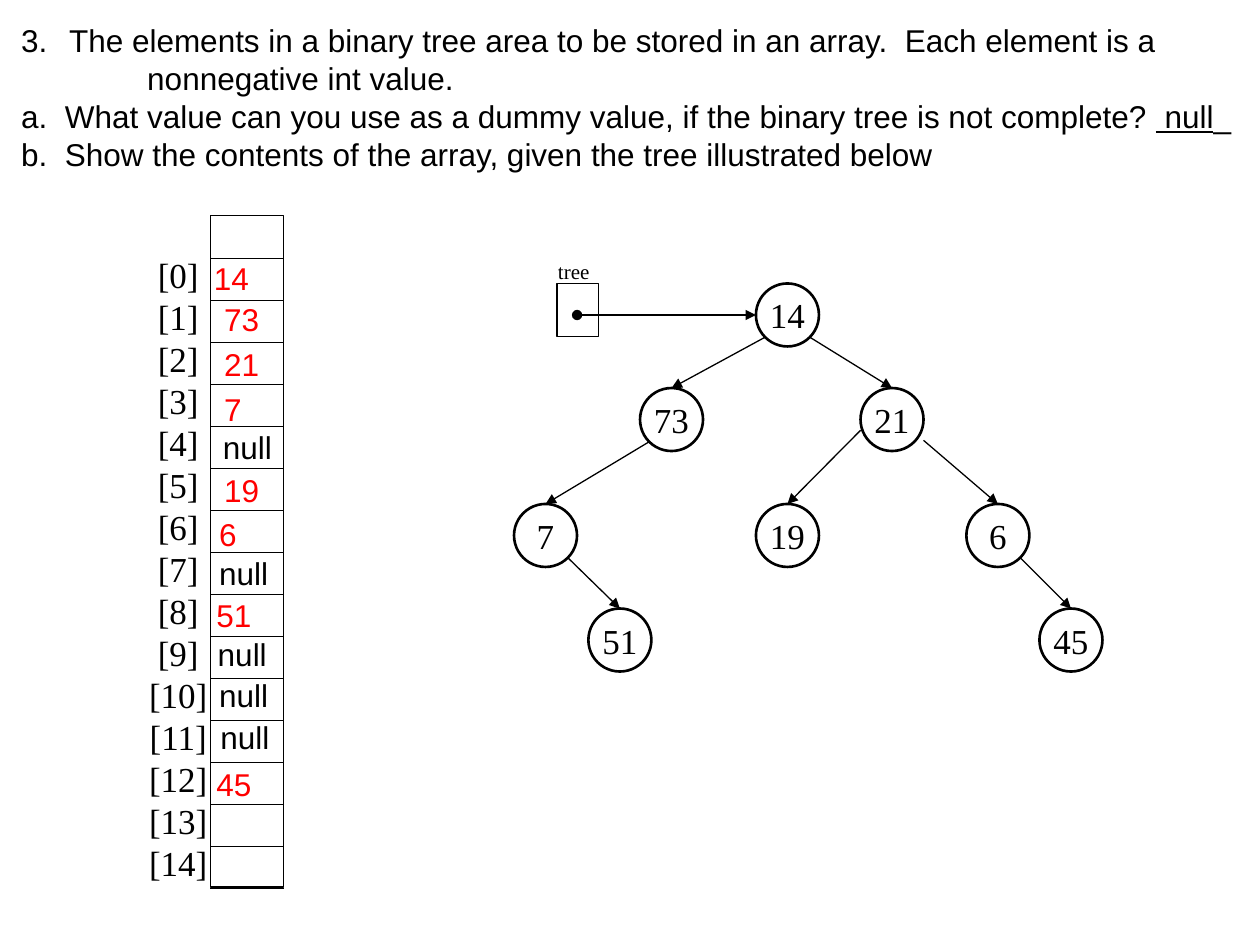
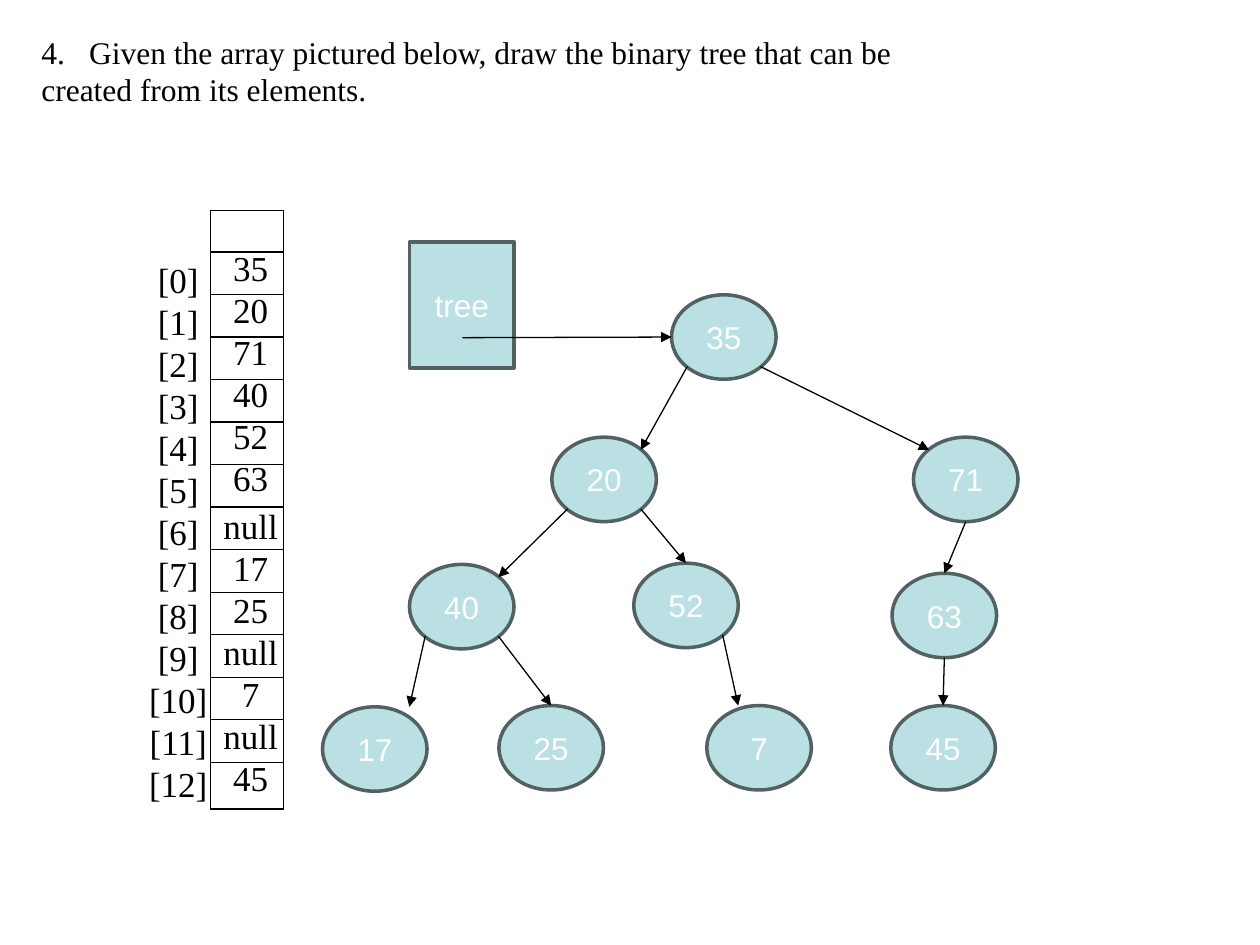
from dataclasses import dataclass

from lxml.etree import SubElement
from pptx import Presentation
from pptx.dml.color import RGBColor
from pptx.enum.shapes import MSO_CONNECTOR as Connector, MSO_SHAPE as Shape
from pptx.enum.text import MSO_ANCHOR as Anchor, MSO_AUTO_SIZE as AutoSize, PP_ALIGN as Align
from pptx.oxml.ns import qn
from pptx.util import Inches, Pt


@dataclass(frozen=True)
class Theme:
    ink: str = "000000"
    answer: str = "FF0000"
    fill: str = "BBE0E3"
    outline: str = "526263"
    light: str = "FFFFFF"
    sans: str = "Arial"
    serif: str = "Times New Roman"
    label_size: int = 12
    body_size: int = 18
    cell_size: int = 20
    thin: float = 0.75


@dataclass(frozen=True)
class Box:
    left: float
    top: float
    width: float
    height: float

    def at(self, across, down):
        """Point at the given fractions of the box."""
        return self.left + across * self.width, self.top + down * self.height

    def inner(self, left, top, width, height):
        return Box(self.left + left, self.top + top, width, height)

    def lengths(self):
        return [Inches(n) for n in (self.left, self.top, self.width, self.height)]


@dataclass(frozen=True)
class Line:
    """One paragraph; runs are pairs of text and underline."""
    runs: tuple
    level: int = 0
    margin: float = 0
    hanging: float = 0
    number: int = 0
    before: float = 0


@dataclass(frozen=True)
class NodeStyle:
    width: float
    height: float
    weight: float
    outline: str
    fill: str
    color: str
    font: str
    size: int
    wrap: bool


THEME = Theme()
PLAIN_NODE = NodeStyle(0.5, 0.5, 1.5, THEME.ink, "", THEME.ink, THEME.serif, THEME.cell_size, False)
FILLED_NODE = NodeStyle(0.83, 0.67, 2, THEME.outline, THEME.fill, THEME.light, THEME.sans,
                        THEME.body_size, True)

# Points on a node, as fractions of its width and height
TOP, BOTTOM, LEFT = (0.5, 0), (0.5, 1), (0, 0.5)
UPPER_LEFT, UPPER_RIGHT = (0.15, 0.15), (0.85, 0.15)
LOWER_LEFT, LOWER_RIGHT = (0.15, 0.85), (0.85, 0.85)


def rgb(code):
    return RGBColor.from_string(code)


def write(frame, lines, font=THEME.serif, size=THEME.body_size, color=THEME.ink,
          align=None, wrap=False):
    frame.word_wrap = wrap
    for index, line in enumerate(lines):
        if isinstance(line, str):
            line = Line(((line, False),))
        para = frame.paragraphs[0] if index == 0 else frame.add_paragraph()
        para.alignment, para.level = align, line.level
        if line.before:
            para.space_before = Pt(line.before)
        if line.hanging:
            props = para._p.get_or_add_pPr()
            props.set("marL", str(Inches(line.margin)))
            props.set("indent", str(-Inches(line.hanging)))
            if line.number:
                SubElement(props, qn("a:buAutoNum"), type="arabicPeriod", startAt=str(line.number))
        for text, underline in line.runs:
            span = para.add_run()
            span.text = text
            span.font.name, span.font.size = font, Pt(size)
            span.font.color.rgb = rgb(color)
            if underline:
                span.font.underline = True


def add_text(shapes, box, lines, **text_format):
    text_box = shapes.add_textbox(*box.lengths())
    write(text_box.text_frame, lines, **text_format)
    text_box.text_frame.auto_size = AutoSize.SHAPE_TO_FIT_TEXT


def add_outline(shapes, kind, box, color=THEME.ink, weight=THEME.thin, fill=""):
    shape = shapes.add_shape(kind, *box.lengths())
    shape.shadow.inherit = False
    shape.line.color.rgb, shape.line.width = rgb(color), Pt(weight)
    if fill:
        shape.fill.solid()
        shape.fill.fore_color.rgb = rgb(fill)
    else:
        shape.fill.background()
    return shape


def add_line(shapes, start, end, head="", tail=""):
    line = shapes.add_connector(Connector.STRAIGHT, *map(Inches, (*start, *end)))
    line.line.color.rgb, line.line.width = rgb(THEME.ink), Pt(THEME.thin)
    for tag, kind in (("a:headEnd", head), ("a:tailEnd", tail)):
        if kind:
            SubElement(line.line._get_or_add_ln(), qn(tag), type=kind)
    SubElement(line._element.spPr, qn("a:effectLst"))
    return line


def add_label(shape, text, style):
    frame = shape.text_frame
    frame.vertical_anchor = Anchor.MIDDLE
    write(frame, [text], font=style.font, size=style.size, color=style.color,
          align=Align.CENTER, wrap=style.wrap)


def add_array(page, box, index_top, count, first_rule, last_rule, rules):
    """Column of cells with its indexes; rule positions are measured from the box top."""
    shapes = page.shapes.add_group_shape().shapes
    add_outline(shapes, Shape.RECTANGLE, box)
    add_text(shapes, box.inner(-0.59, index_top, 0.67, count / 3 + 0.15),
             [f"[{index}]" for index in range(count)], size=THEME.cell_size, align=Align.CENTER)
    step = (last_rule - first_rule) / (rules - 1)
    for index in range(rules):
        y = box.top + first_rule + index * step
        add_line(shapes, (box.left, y), (box.left + box.width, y))


def add_tree(page, area, nodes, edges, style, pointer_start, pointer_head=""):
    """Nodes map labels to offsets in the area; the first one is the root."""
    boxes, ellipses = {}, {}
    for label, (left, top) in nodes.items():
        boxes[label] = area.inner(left, top, style.width, style.height)
        ellipses[label] = add_outline(page.shapes, Shape.OVAL, boxes[label],
                                      style.outline, style.weight, style.fill)
        add_label(ellipses[label], label, style)
    for parent, start, child, end in edges:
        arrow = add_line(page.shapes, boxes[parent].at(*start), boxes[child].at(*end),
                         tail="triangle")
        if end == TOP:
            arrow.end_connect(ellipses[child], 0)
    root = next(iter(boxes.values()))
    start = area.left + pointer_start[0], area.top + pointer_start[1]
    add_line(page.shapes, start, root.at(*LEFT), head=pointer_head, tail="triangle")


def add_answers(page, box):
    """Handwritten-style answers: text with its offset from the array."""
    answers = (
        ("14", -0.07, 0.3), ("73", 0.01, 0.62), ("21", 0.01, 0.98), ("7", 0.01, 1.34),
        ("null", 0, 1.64), ("19", 0.01, 1.98), ("6", -0.03, 2.33), ("null", -0.03, 2.64),
        ("51", -0.05, 2.97), ("null", -0.04, 3.28), ("null", -0.03, 3.61),
        ("null", -0.02, 3.94), ("45", -0.05, 4.31),
    )
    for text, left, top in answers:
        add_text(page.shapes, box.inner(left, top, 0.63, 0.4), [text], font=THEME.sans,
                 color=THEME.ink if text == "null" else THEME.answer, wrap=True)


def build_tree_to_array(page):
    hanging = {"margin": 0.38, "hanging": 0.38}
    add_text(page.shapes, Box(0.07, 0.12, 9.89, 1.31), [
        Line((("The elements in a binary tree area to be stored in an array.  "
               "Each element is a", False),), number=3, **hanging),
        Line((("nonnegative int value.", False),), level=1, margin=1.38, hanging=0.38),
        Line((("a.  What value can you use as a dummy value, if the binary tree "
               "is not complete? ", False), (" null", True), ("_", False)), **hanging),
        Line((("b.  Show the contents of the array, given the tree illustrated below",
               False),), **hanging),
    ], font=THEME.sans)

    area = Box(4.08, 2.25, 4.67, 3.08)
    nodes = {"14": (1.92, 0), "73": (1, 0.83), "21": (2.75, 0.83), "7": (0, 1.75),
             "51": (0.59, 2.58), "19": (1.92, 1.75), "6": (3.59, 1.75), "45": (4.17, 2.58)}
    edges = (
        ("14", LOWER_LEFT, "73", TOP), ("14", LOWER_RIGHT, "21", TOP),
        ("73", LOWER_LEFT, "7", TOP), ("21", (0, 0.67), "19", TOP),
        ("7", LOWER_RIGHT, "51", TOP), ("21", (1, 0.83), "6", TOP),
        ("6", LOWER_RIGHT, "45", TOP),
    )
    add_outline(page.shapes, Shape.RECTANGLE, area.inner(0.34, 0, 0.33, 0.42))
    add_tree(page, area, nodes, edges, PLAIN_NODE, (0.5, 0.25), "oval")
    add_text(page.shapes, area.inner(0.25, -0.25, 0.45, 0.3), ["tree"], size=THEME.label_size)

    array = Box(1.67, 1.71, 0.58, 5.33)
    add_array(page, array, 0.25, 15, first_rule=0.34, last_rule=5.34, rules=16)
    add_answers(page, array)


def build_array_to_tree(page):
    add_text(page.shapes, Box(0.23, 0.21, 7.02, 0.71), [
        Line((("Given the array pictured below, draw the binary tree that can be", False),),
             margin=0.38, hanging=0.38, number=4),
        "created from its elements.",
    ])

    array = Box(1.67, 1.67, 0.58, 4.75)
    add_array(page, array, 0.33, 13, first_rule=0.33, last_rule=4.38, rules=13)
    values = ["35", "20", "71", "40", "52", "63", Line((("null", False),), before=3),
              "17", "25", "null", "7", "null", "45"]
    add_text(page.shapes, array.inner(0, 0.24, 0.64, 4.48), values,
             size=THEME.cell_size, align=Align.CENTER)

    area = Box(2.56, 1.92, 5.52, 4.36)
    nodes = {"35": (2.77, 0.42), "20": (1.82, 1.55), "71": (4.69, 1.55), "40": (0.69, 2.56),
             "52": (2.47, 2.55), "63": (4.52, 2.63), "17": (0, 3.69), "25": (1.4, 3.68),
             "7": (3.05, 3.68), "45": (4.51, 3.68)}
    edges = (
        ("35", LOWER_LEFT, "20", UPPER_RIGHT), ("35", LOWER_RIGHT, "71", UPPER_LEFT),
        ("20", LOWER_LEFT, "40", UPPER_RIGHT), ("20", LOWER_RIGHT, "52", TOP),
        ("40", LOWER_LEFT, "17", (0.83, 0)), ("40", LOWER_RIGHT, "25", TOP),
        ("52", LOWER_RIGHT, "7", (0.3, 0)), ("71", BOTTOM, "63", TOP),
        ("63", BOTTOM, "45", TOP),
    )
    pointer = add_outline(page.shapes, Shape.RECTANGLE, area.inner(0.69, 0, 0.83, 1),
                          FILLED_NODE.outline, FILLED_NODE.weight, FILLED_NODE.fill)
    add_label(pointer, "tree", FILLED_NODE)
    add_tree(page, area, nodes, edges, FILLED_NODE, (1.11, 0.76))


def main():
    deck = Presentation()
    deck.slide_width, deck.slide_height = Inches(10), Inches(7.5)
    for build in (build_tree_to_array, build_array_to_tree):
        build(deck.slides.add_slide(deck.slide_layouts[6]))
    deck.save("out.pptx")


if __name__ == "__main__":
    main()
